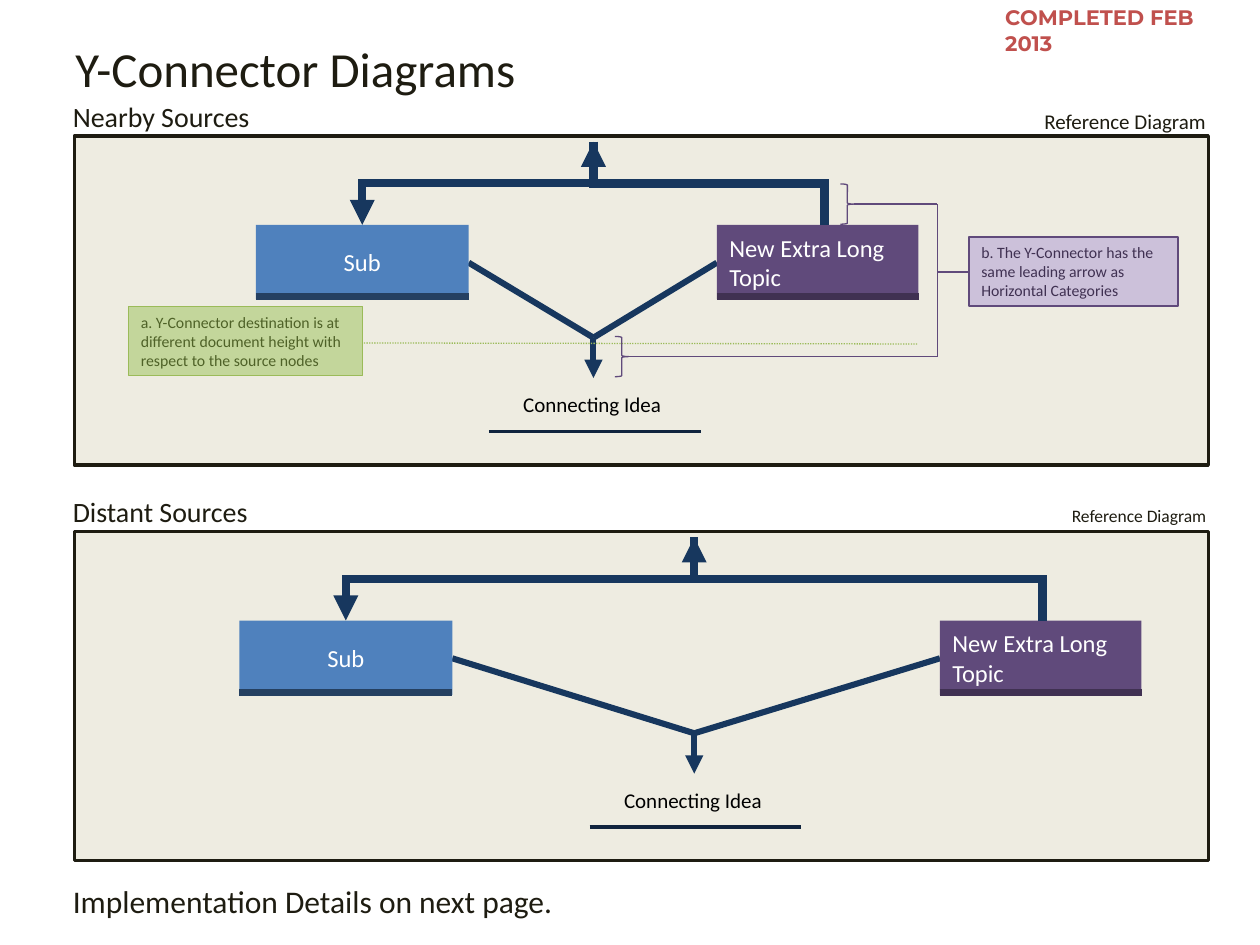
from dataclasses import dataclass
from pptx import Presentation
from pptx.dml.color import RGBColor
from pptx.enum.dml import MSO_LINE as Dash
from pptx.enum.shapes import MSO_CONNECTOR as Link, MSO_SHAPE as Shape
from pptx.enum.text import MSO_ANCHOR as Anchor, PP_ALIGN as Align
from pptx.oxml.ns import qn
from pptx.oxml.xmlchemy import OxmlElement as Element
from pptx.util import Inches, Pt

COLUMNS, ROWS = 100, 75  # slide grid
WIDTH, HEIGHT = Inches(10), Inches(7.5)


@dataclass(frozen=True)
class Theme:
    font: str = "Calibri"
    stamp_font: str = "Montserrat"
    ink: str = "1E1C11"
    black: str = "000000"
    white: str = "FFFFFF"
    panel: str = "EEECE1"
    arrow: str = "17375E"
    underline: str = "10243E"
    sub: str = "4F81BD"
    sub_edge: str = "254061"
    topic: str = "604A7B"
    topic_edge: str = "403152"
    green: str = "9BBB59"
    green_fill: str = "C3D69B"
    green_text: str = "4F6228"
    violet_fill: str = "CCC1DA"
    stamp: str = "C0504D"
    title_size: float = 28
    footer_size: float = 18
    heading_size: float = 16
    node_size: float = 14
    label_size: float = 12
    small_size: float = 10
    note_size: float = 9


THEME = Theme()


@dataclass(frozen=True)
class Box:
    """A region of the slide, in grid columns and rows."""
    left: float
    top: float
    width: float
    height: float

    def inner(self, left, top, width, height):
        return Box(self.left + left, self.top + top, width, height)

    def point(self, x, y):
        return self.left + x, self.top + y

    def emu(self):
        return (*to_emu(self.left, self.top), *to_emu(self.width, self.height))


def to_emu(x, y):
    return round(WIDTH * x / COLUMNS), round(HEIGHT * y / ROWS)


def rgb(color):
    return RGBColor.from_string(color)


def write(frame, words, size, color, align=Align.LEFT, anchor=Anchor.TOP,
          font=THEME.font, bold=False):
    frame.word_wrap = True
    frame.vertical_anchor = anchor
    paragraph = frame.paragraphs[0]
    paragraph.text = words
    paragraph.alignment = align
    paragraph.font.name, paragraph.font.size = font, Pt(size)
    paragraph.font.bold = bold
    paragraph.font.color.rgb = rgb(color)
    return paragraph


def add_label(slide, box, *words, **style):
    return write(slide.shapes.add_textbox(*box.emu()).text_frame, *words, **style)


def add_block(slide, box, fill=None, line=None, width=0, preset=Shape.RECTANGLE):
    block = slide.shapes.add_shape(preset, *box.emu())
    block.shadow.inherit = False
    for part, color in ((block.fill, fill), (block.line.fill, line)):
        if color:
            part.solid()
            part.fore_color.rgb = rgb(color)
        else:
            part.background()
    if line:
        block.line.width = Pt(width)
    return block


def add_line(slide, start, end, color, width, arrow=False, dash=None,
             link=Link.STRAIGHT):
    line = slide.shapes.add_connector(link, *to_emu(*start), *to_emu(*end))
    line.line.color.rgb = rgb(color)
    line.line.width = Pt(width)
    if dash:
        line.line.dash_style = dash
    outline = line.line._get_or_add_ln()
    outline.append(Element("a:miter"))
    if arrow:
        head = Element("a:tailEnd")
        head.set("type", "triangle")
        outline.append(head)
    line._element.spPr.append(Element("a:effectLst"))
    return line


def add_elbow(slide, start, end):
    """Arrow that leaves and arrives vertically: an elbow turned a quarter."""
    (x1, y1), (x2, y2) = start, end
    middle_x, middle_y = (x1 + x2) / 2, (y1 + y2) / 2
    half_x, half_y = (y2 - y1) / 2, (x1 - x2) / 2
    elbow = add_line(slide, (middle_x - half_x, middle_y - half_y),
                     (middle_x + half_x, middle_y + half_y),
                     THEME.arrow, 4.75, arrow=True, link=Link.ELBOW)
    elbow._element.spPr.find(qn("a:xfrm")).set("rot", "5400000")


def add_node(slide, box, words, fill, edge, align):
    node = add_block(slide, box, fill)
    write(node.text_frame, words, THEME.node_size, THEME.white, align, Anchor.MIDDLE)
    edge_y = box.height - 0.2
    add_line(slide, box.point(0, edge_y), box.point(box.width, edge_y), edge, 3.75)


def add_note(slide, box, words, fill, line, color):
    write(add_block(slide, box, fill, line).text_frame, words, THEME.note_size, color)


def add_panel(slide, box, heading, reference_size, sub_x, topic_x, center):
    # Captions and frame
    add_label(slide, box.inner(-1.1, -3.4, 20.7, 3.7), heading,
              THEME.heading_size, THEME.ink)
    add_label(slide, box.inner(75.1, -2.65, 15.7, 3), "Reference Diagram",
              reference_size, THEME.ink, align=Align.RIGHT)
    add_block(slide, box, THEME.panel, THEME.ink, 2)

    # Y-shaped connector
    sub = box.inner(sub_x, 7.05, 16.9, 5.9)
    topic = box.inner(topic_x, 7.05, 16, 5.9)
    join = box.point(center, 16)
    add_line(slide, join, sub.point(sub.width, 3), THEME.arrow, 3.5)
    add_line(slide, topic.point(0, 3), join, THEME.arrow, 3.5)
    add_line(slide, join, box.point(center, 19.2), THEME.arrow, 3.5, arrow=True)

    # Source nodes
    add_node(slide, topic, "New Extra Long Topic", THEME.topic, THEME.topic_edge,
             Align.LEFT)
    add_node(slide, sub, "Sub", THEME.sub, THEME.sub_edge, Align.CENTER)

    # Leading arrows, symmetrical about the apex
    apex = box.point(center, 0.45)
    sub_top = sub.point(sub.width / 2, 0)
    add_elbow(slide, apex, sub_top)
    add_elbow(slide, (2 * apex[0] - sub_top[0], sub_top[1]), apex)

    # Destination
    add_label(slide, box.inner(center - 8.5, 19.15, 16.8, 4.3), "Connecting Idea",
              THEME.label_size, THEME.black, align=Align.CENTER, anchor=Anchor.MIDDLE)
    add_line(slide, box.point(center - 8.3, 23.45), box.point(center + 8.5, 23.45),
             THEME.underline, 2)


def add_annotations(slide, box):
    # Note a with its height guide
    add_line(slide, box.point(10.7, 16.4), box.point(66.9, 16.5), THEME.green, 0.75,
             dash=Dash.ROUND_DOT)
    add_note(slide, box.inner(4.3, 13.5, 18.6, 5.5),
             "a. Y-Connector destination is at different document height "
             "with respect to the source nodes",
             THEME.green_fill, THEME.green, THEME.green_text)

    # Note b with its bracket lines
    trunk, top, bottom, middle = 68.5, 5.4, 17.5, 10.8
    for brace_x, brace_y in ((60.8, top), (42.9, bottom)):
        brace = add_block(slide, box.inner(brace_x, brace_y - 1.6, 1.1, 3.2),
                          line=THEME.topic, width=0.75, preset=Shape.RIGHT_BRACE)
        brace.adjustments[0] = 0.08
        add_line(slide, box.point(brace_x + 1.1, brace_y), box.point(trunk, brace_y),
                 THEME.topic, 0.75)
    for start, end in (((trunk, top), (trunk, bottom)),
                       ((trunk, middle), (71, middle))):
        add_line(slide, box.point(*start), box.point(*end), THEME.topic, 0.75)
    add_note(slide, box.inner(71, 8, 16.6, 5.5),
             "b. The Y-Connector has the same leading arrow as Horizontal Categories",
             THEME.violet_fill, THEME.topic, THEME.topic_edge)


def add_page_text(slide, page):
    title = add_label(slide, page.inner(5, 3, 90.9, 5.3), "Y-Connector Diagrams",
                      THEME.title_size, THEME.ink, anchor=Anchor.MIDDLE)
    title.line_spacing = 0.9
    add_label(slide, page.inner(78.8, -0.1, 19.6, 3), "COMPLETED FEB 2013",
              THEME.label_size, THEME.stamp, font=THEME.stamp_font, bold=True)
    add_label(slide, page.inner(4.8, 69.5, 56.3, 4),
              "Implementation Details on next page.", THEME.footer_size, THEME.ink)


def main():
    deck = Presentation()
    deck.slide_width, deck.slide_height = WIDTH, HEIGHT
    slide = deck.slides.add_slide(deck.slide_layouts[6])
    page = Box(0, 0, COLUMNS, ROWS)
    nearby, distant = (page.inner(5.9, top, 90, 26.1) for top in (10.8, 42.2))
    add_page_text(slide, page)
    add_panel(slide, nearby, "Nearby Sources", THEME.label_size, 14.4, 51, 41.2)
    add_annotations(slide, nearby)
    add_panel(slide, distant, "Distant Sources", THEME.small_size, 13.1, 68.7, 49.2)
    deck.save("out.pptx")


if __name__ == "__main__":
    main()
